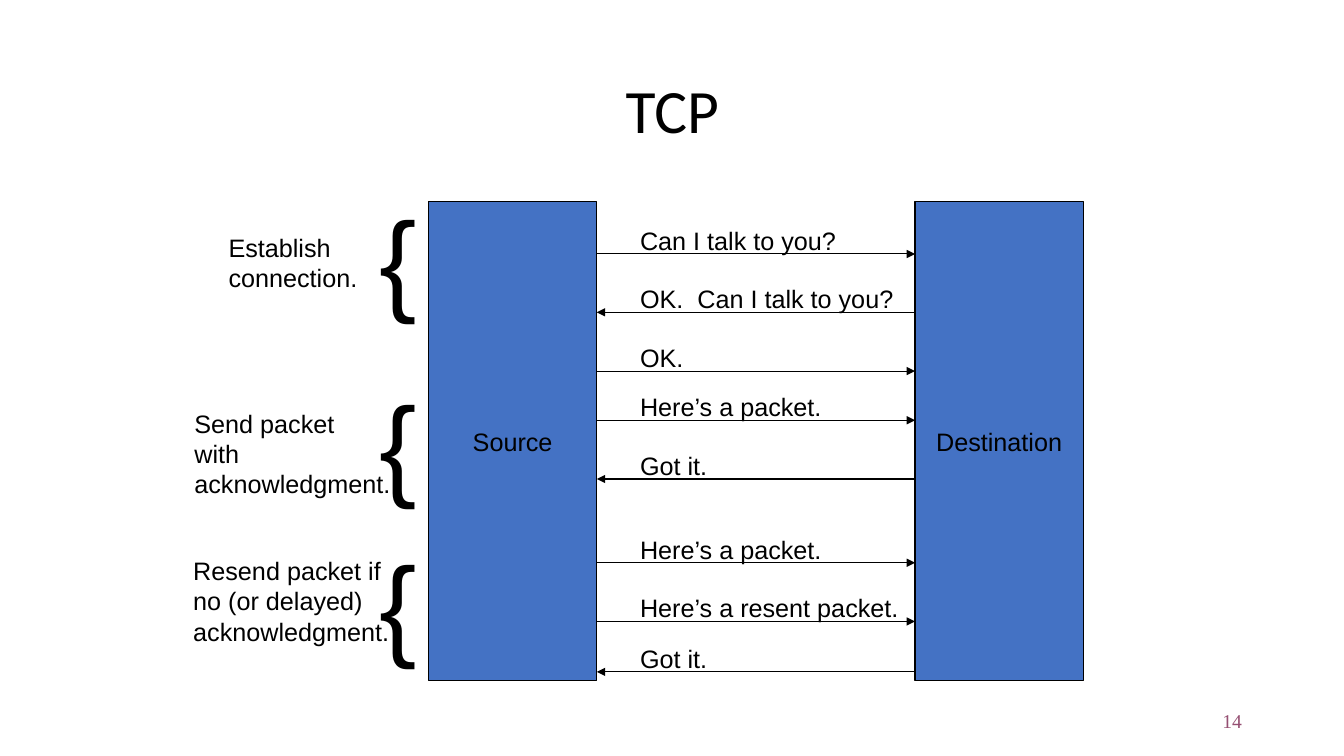
"""Build a slide showing the messages of a TCP exchange between source and destination."""
import pptx
import pptx.util
import pptx.dml.color
import pptx.enum.shapes
import pptx.enum.text
import pptx.oxml
import pptx.oxml.ns
from dataclasses import dataclass

Cm = pptx.util.Cm
Pt = pptx.util.Pt
Align = pptx.enum.text.PP_ALIGN
Anchor = pptx.enum.text.MSO_ANCHOR
Size = pptx.enum.text.MSO_AUTO_SIZE


@dataclass(frozen=True)
class Theme:
    ink: str = "000000"
    bar: str = "4472C4"
    page: str = "954F72"
    body: str = "Arial"
    head: str = "Calibri"
    foot: str = "Times New Roman"
    text: int = 18
    title: int = 44
    brace: int = 80
    num: int = 14
    line: float = 0.75


theme = Theme()

TITLE = "TCP"
PAGE = "14"
BARS = [("Source", 10.8), ("Destination", 23.06)]
MESSAGES = [
    ("Can I talk to you?", 6.4, 5.46, True),
    ("OK.  Can I talk to you?", 7.87, 6.91, False),
    ("OK.", 9.35, 1.6, True),
    ("Here’s a packet.", 10.59, 5.11, True),
    ("Got it.", 12.07, 2.21, False),
    ("Here’s a packet.", 14.18, 5.11, True),
    ("Here’s a resent packet.", 15.66, 7.04, True),
    ("Got it.", 16.93, 2.21, False),
]
PHASES = [
    (["Establish", "connection."], (5.51, 5.72, 3.76, 1.78), 4.65),
    (["Send packet", "with", "acknowledgment."], (4.65, 10.16, 5.46, 2.54), 9.32),
    (["Resend packet if", "no (or delayed)", "acknowledgment."],
     (4.62, 13.87, 5.46, 2.54), 13.34),
]
BAR_TOP, BAR_WIDE, BAR_HIGH = 5.08, 4.24, 12.07
LABEL_LEFT, LABEL_RISE, LABEL_HIGH = 15.88, 0.85, 1.02
BRACE_LEFT, BRACE_WIDE, BRACE_HIGH = 9.32, 1.45, 3.63


def color(code):
    return pptx.dml.color.RGBColor.from_string(code)


def write(shape, lines, font=theme.body, size=theme.text, ink=theme.ink,
          align=Align.LEFT, anchor=Anchor.TOP, wrap=False, grow=False, space=None):
    frame = shape.text_frame
    frame.word_wrap = wrap
    frame.auto_size = Size.SHAPE_TO_FIT_TEXT if grow else Size.NONE
    frame.vertical_anchor = anchor
    frame.text = "\n".join(lines)
    for para in frame.paragraphs:
        para.alignment = align
        para.line_spacing = space
        for run in para.runs:
            run.font.name = font
            run.font.size = Pt(size)
            run.font.color.rgb = color(ink)


def put(slide, box, lines, **form):
    write(slide.shapes.add_textbox(*map(Cm, box)), lines, **form)


def bar(slide, name, left):
    shape = slide.shapes.add_shape(
        pptx.enum.shapes.MSO_SHAPE.RECTANGLE,
        Cm(left), Cm(BAR_TOP), Cm(BAR_WIDE), Cm(BAR_HIGH))
    shape.shadow.inherit = False
    shape.fill.solid()
    shape.fill.fore_color.rgb = color(theme.bar)
    shape.line.color.rgb = color(theme.ink)
    shape.line.width = Pt(theme.line)
    write(shape, [name], align=Align.CENTER, anchor=Anchor.MIDDLE)


def arrow(slide, start, end, y):
    link = slide.shapes.add_connector(
        pptx.enum.shapes.MSO_CONNECTOR.STRAIGHT, Cm(start), Cm(y), Cm(end), Cm(y))
    link.line.color.rgb = color(theme.ink)
    link.line.width = Pt(theme.line)
    space = pptx.oxml.ns.nsdecls("a")
    link.line._get_or_add_ln().append(
        pptx.oxml.parse_xml(f'<a:tailEnd {space} type="triangle"/>'))
    link._element.spPr.append(pptx.oxml.parse_xml(f"<a:effectLst {space}/>"))


def main():
    deck = pptx.Presentation()
    deck.slide_width, deck.slide_height = Cm(33.87), Cm(19.05)
    slide = deck.slides.add_slide(deck.slide_layouts[6])

    put(slide, (23.93, 17.65, 7.62, 1.02), [PAGE], font=theme.foot, size=theme.num,
        ink=theme.page, align=Align.RIGHT, anchor=Anchor.MIDDLE, wrap=True)
    put(slide, (2.34, 1.02, 29.21, 3.68), [TITLE], font=theme.head, size=theme.title,
        align=Align.CENTER, anchor=Anchor.MIDDLE, wrap=True, space=0.9)

    for name, left in BARS:
        bar(slide, name, left)

    near, far = BARS[0][1] + BAR_WIDE, BARS[1][1]
    for text, y, wide, sent in MESSAGES:
        start, end = (near, far) if sent else (far, near)
        arrow(slide, start, end, y)
        put(slide, (LABEL_LEFT, y - LABEL_RISE, wide, LABEL_HIGH), [text], grow=True)

    for lines, box, top in PHASES:
        put(slide, box, lines, grow=True)
        put(slide, (BRACE_LEFT, top, BRACE_WIDE, BRACE_HIGH), ["{"],
            size=theme.brace, grow=True)

    deck.save("out.pptx")


if __name__ == "__main__":
    main()
